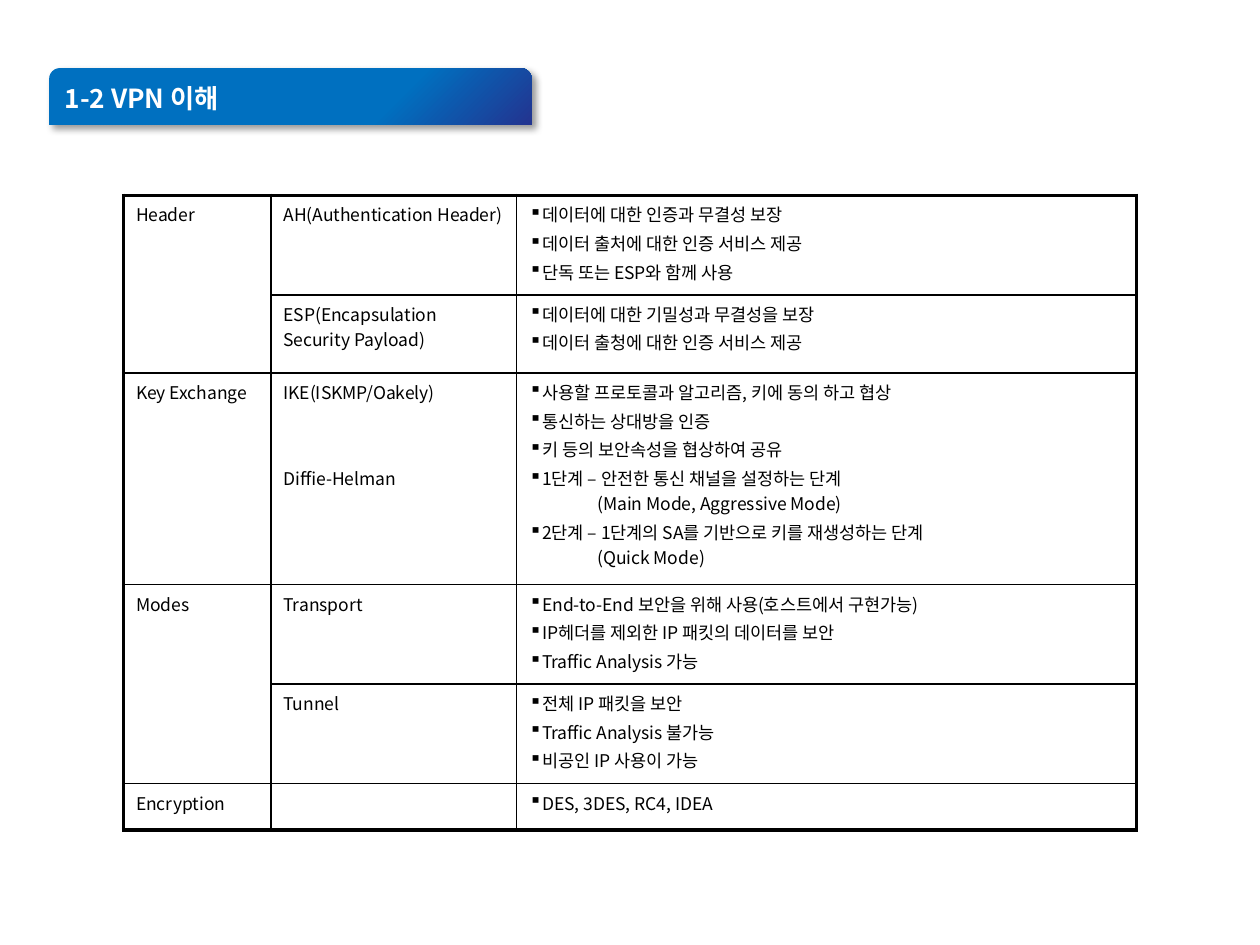
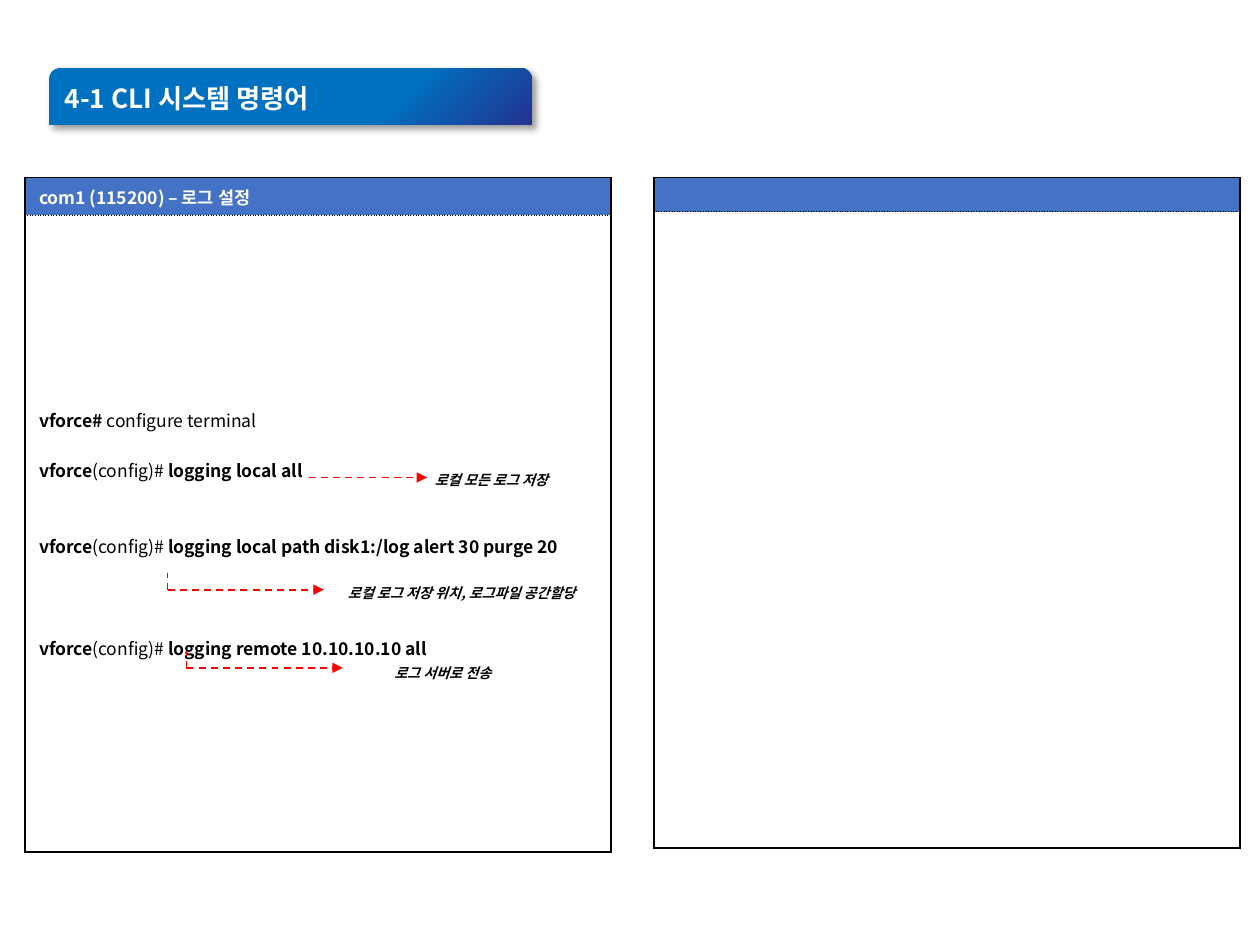
from lxml import etree
from pptx import Presentation
from pptx.dml.color import RGBColor
from pptx.enum.dml import MSO_LINE
from pptx.enum.shapes import MSO_CONNECTOR, MSO_SHAPE
from pptx.enum.text import MSO_ANCHOR, PP_ALIGN
from pptx.oxml.ns import qn
from pptx.util import Inches, Pt

MIDDLE = MSO_ANCHOR.MIDDLE
CENTER = PP_ALIGN.CENTER
STRAIGHT = MSO_CONNECTOR.STRAIGHT
DASH = MSO_LINE.DASH
ROUND_TOP = MSO_SHAPE.ROUND_2_SAME_RECTANGLE

FONT = "Noto Sans CJK KR"
COLORS = {
    "black": "000000",
    "white": "FFFFFF",
    "title_start": "0070C0",
    "title_end": "233490",
    "panel_head": "4472C4",
    "arrow": "FF0000",
}
THICK, THIN = 2.25, 1

# Each row: height, category (None continues the one above), terms, points.
# A term is (text, space before); a point is (text, detail lines).
VPN_TITLE = "1-2 VPN 이해"
VPN_COLUMNS = [1.17, 1.95, 4.92]
VPN_ROWS = [
    (0.79, "Header", [("AH(Authentication Header)", 0)], [
        ("데이터에 대한 인증과 무결성 보장", []),
        ("데이터 출처에 대한 인증 서비스 제공", []),
        ("단독 또는 ESP와 함께 사용", []),
    ]),
    (0.62, None, [("ESP(Encapsulation Security Payload)", 0)], [
        ("데이터에 대한 기밀성과 무결성을 보장", []),
        ("데이터 출청에 대한 인증 서비스 제공", []),
    ]),
    (1.68, "Key Exchange", [("IKE(ISKMP/Oakely)", 0), ("Diffie-Helman", 34.7)], [
        ("사용할 프로토콜과 알고리즘, 키에 동의 하고 협상", []),
        ("통신하는 상대방을 인증", []),
        ("키 등의 보안속성을 협상하여 공유", []),
        ("1단계 – 안전한 통신 채널을 설정하는 단계", ["(Main Mode, Aggressive Mode)"]),
        ("2단계 – 1단계의 SA를 기반으로 키를 재생성하는 단계", ["(Quick Mode)"]),
    ]),
    (0.79, "Modes", [("Transport", 0)], [
        ("End-to-End 보안을 위해 사용(호스트에서 구현가능)", []),
        ("IP헤더를 제외한 IP 패킷의 데이터를 보안", []),
        ("Traffic Analysis 가능", []),
    ]),
    (0.79, None, [("Tunnel", 0)], [
        ("전체 IP 패킷을 보안", []),
        ("Traffic Analysis 불가능", []),
        ("비공인 IP 사용이 가능", []),
    ]),
    (0.37, "Encryption", [], [("DES, 3DES, RC4, IDEA", [])]),
]

CLI_TITLE = "4-1 CLI 시스템 명령어"
LOG_HEADING = "com1 (115200) – 로그 설정"
LINE_PITCH = 14.5
# Each command: empty lines above, then (text, bold) spans.
LOG_COMMANDS = [
    (0, [("vforce# ", True), ("configure terminal", False)]),
    (1, [("vforce", True), ("(config)# ", False), ("logging local all", True)]),
    (2, [("vforce", True), ("(config)# ", False),
         ("logging local path disk1:/log alert 30 purge 20", True)]),
    (3, [("vforce", True), ("(config)# ", False),
         ("logging remote 10.10.10.10 all", True)]),
]
# Each note: text, left, top, width.
LOG_NOTES = [
    ("로컬 모든 로그 저장", 3.29, 3.68, 1.22),
    ("로컬 로그 저장 위치, 로그파일 공간할당", 2.55, 4.58, 2.23),
    ("로그 서버로 전송", 2.98, 5.21, 1.07),
]
# Each arrow: left, y, length, height of the stub at its start.
LOG_ARROWS = [(2.45, 3.79, 0.94, 0), (1.33, 4.68, 1.24, 0.13), (1.48, 5.3, 1.24, 0.13)]


def rgb(name):
    return RGBColor.from_string(COLORS[name])


def style(para, size, color="black", bold=False, italic=False):
    font = para.font
    font.name, font.size, font.bold, font.italic = FONT, Pt(size), bold, italic
    font.color.rgb = rgb(color)
    defaults = para._p.pPr.find(qn("a:defRPr"))
    etree.SubElement(defaults, qn("a:ea"), typeface=FONT)


def indent(para, left, bullet=None):
    """Indent a paragraph; a bullet hangs in the indent."""
    properties = para._p.get_or_add_pPr()
    properties.set("marL", str(Inches(left)))
    properties.set("indent", str(-Inches(left) if bullet else 0))
    if bullet:
        etree.SubElement(properties, qn("a:buChar"), char=bullet)


def next_para(frame):
    """Use the first paragraph while it is empty, then add more."""
    first = frame.paragraphs[0]
    return frame.add_paragraph() if first.runs else first


def write(frame, text, size, color="black", bold=False, before=0):
    para = next_para(frame)
    para.add_run().text = text
    if before:
        para.space_before = Pt(before)
    style(para, size, color, bold)


def write_point(frame, text, details):
    para = next_para(frame)
    if para is not frame.paragraphs[0] or para.runs:
        pass
    is_first = len(frame.paragraphs) == 1
    para.add_run().text = text
    indent(para, 0.08, "▪")
    if not is_first:
        para.space_before = Pt(2)
    style(para, 10)
    for detail in details:
        line = frame.add_paragraph()
        line.add_run().text = detail
        indent(line, 0.54)
        style(line, 10)


def shrink_empty(cell):
    """Keep an empty cell from stretching its row."""
    etree.SubElement(cell.text_frame.paragraphs[0]._p, qn("a:endParaRPr"), sz="800")


def set_borders(cell, widths, dashes=()):
    """Draw the four sides; widths maps L, R, T, B to points."""
    properties = cell._tc.get_or_add_tcPr()
    for side in "LRTB":
        line = etree.SubElement(properties, qn(f"a:ln{side}"), w=str(Pt(widths[side])))
        fill = etree.SubElement(line, qn("a:solidFill"))
        etree.SubElement(fill, qn("a:srgbClr"), val=COLORS["black"])
        pattern = "sysDot" if side in dashes else "solid"
        etree.SubElement(line, qn("a:prstDash"), val=pattern)


def add_grid(page, left, top, columns, rows):
    frame = page.shapes.add_table(len(rows), len(columns), Inches(left), Inches(top),
                                  Inches(sum(columns)), Inches(sum(rows)))
    table = frame.table
    table.first_row = table.horz_banding = False
    for column, width in zip(table.columns, columns):
        column.width = Inches(width)
    for row, height in zip(table.rows, rows):
        row.height = Inches(height)
    return table


def add_title(page, text):
    band = page.shapes.add_shape(ROUND_TOP, Inches(0.39), Inches(0.54),
                                 Inches(3.83), Inches(0.45))
    band.adjustments[0], band.adjustments[1] = 0.19, 0
    band.line.fill.background()
    band.fill.gradient()
    band.fill.gradient_angle = 315
    stops = [(0.7, "title_start"), (1, "title_end")]
    for stop, (position, color) in zip(band.fill.gradient_stops, stops):
        stop.position = position
        stop.color.rgb = rgb(color)
    band.shadow.inherit = False
    effects = band._element.spPr.find(qn("a:effectLst"))
    shadow = etree.SubElement(effects, qn("a:outerShdw"), blurRad=str(Pt(4)),
                              dist=str(Pt(3)), dir="2700000", algn="tl", rotWithShape="0")
    shade = etree.SubElement(shadow, qn("a:srgbClr"), val=COLORS["black"])
    etree.SubElement(shade, qn("a:alpha"), val="40000")
    frame = band.text_frame
    frame.word_wrap = True
    frame.vertical_anchor = MIDDLE
    frame.margin_top = frame.margin_bottom = Inches(0.02)
    frame.paragraphs[0].alignment = PP_ALIGN.LEFT
    write(frame, text, 15, "white", bold=True)


def add_vpn_table(page):
    table = add_grid(page, 0.98, 1.55, VPN_COLUMNS, [row[0] for row in VPN_ROWS])
    last_row, last_column = len(VPN_ROWS) - 1, len(VPN_COLUMNS) - 1
    for r, (_, category, terms, points) in enumerate(VPN_ROWS):
        for c in range(len(VPN_COLUMNS)):
            cell = table.cell(r, c)
            edges = {"L": c == 0, "R": c == last_column, "T": r == 0, "B": r == last_row}
            set_borders(cell, {side: THICK if outer else THIN
                               for side, outer in edges.items()})
            cell.fill.background()
        category_cell, term_cell, point_cell = (table.cell(r, c) for c in range(3))
        if category:
            write(category_cell.text_frame, category, 10)
        else:
            table.cell(r - 1, 0).merge(category_cell)
        for term, before in terms:
            write(term_cell.text_frame, term, 10, before=before)
        if not terms:
            shrink_empty(term_cell)
        for text, details in points:
            write_point(point_cell.text_frame, text, details)


def add_panel(page, left, heading="", commands=()):
    """Add a console panel: a heading row above a body of commands."""
    table = add_grid(page, left, 1.41, [4.65], [0.27, 5.05])
    head, body = table.cell(0, 0), table.cell(1, 0)
    for cell, dotted_side in ((head, "B"), (body, "T")):
        set_borders(cell, dict.fromkeys("LRTB", THIN), dotted_side)
        cell.vertical_anchor = MIDDLE
        cell.margin_left = cell.margin_right = Inches(0.11)
    head.fill.solid()
    head.fill.fore_color.rgb = rgb("panel_head")
    body.fill.background()
    if heading:
        write(head.text_frame, heading, 10, "white", bold=True)
    else:
        shrink_empty(head)
    for empty_lines, spans in commands:
        para = next_para(body.text_frame)
        for text, bold in spans:
            span = para.add_run()
            span.text = text
            span.font.bold = bold
        if empty_lines:
            para.space_before = Pt(empty_lines * LINE_PITCH)
        style(para, 10)


def add_note(page, text, left, top, width):
    box = page.shapes.add_textbox(Inches(left), Inches(top), Inches(width), Inches(0.24))
    box.text_frame.word_wrap = False
    para = box.text_frame.paragraphs[0]
    para.add_run().text = text
    para.alignment = CENTER
    para.line_spacing = 1.1
    style(para, 8, bold=True, italic=True)


def add_dashed_line(page, start, end, arrow=False):
    line = page.shapes.add_connector(STRAIGHT, *map(Inches, start + end))
    line.line.color.rgb = rgb("arrow")
    line.line.width = Pt(1)
    line.line.dash_style = DASH
    if arrow:
        etree.SubElement(line.line._get_or_add_ln(), qn("a:tailEnd"), type="triangle")
    etree.SubElement(line._element.spPr, qn("a:effectLst"))


def main():
    deck = Presentation()
    deck.slide_width, deck.slide_height = Inches(10), Inches(7.5)
    blank = deck.slide_layouts[6]

    vpn_page = deck.slides.add_slide(blank)
    add_title(vpn_page, VPN_TITLE)
    add_vpn_table(vpn_page)

    cli_page = deck.slides.add_slide(blank)
    add_title(cli_page, CLI_TITLE)
    add_panel(cli_page, 0.2, LOG_HEADING, LOG_COMMANDS)
    add_panel(cli_page, 5.19)
    for note in LOG_NOTES:
        add_note(cli_page, *note)
    for left, y, length, stub in LOG_ARROWS:
        add_dashed_line(cli_page, (left, y), (left + length, y), arrow=True)
        if stub:
            add_dashed_line(cli_page, (left, y), (left, y - stub))
    deck.save("out.pptx")


if __name__ == "__main__":
    main()
